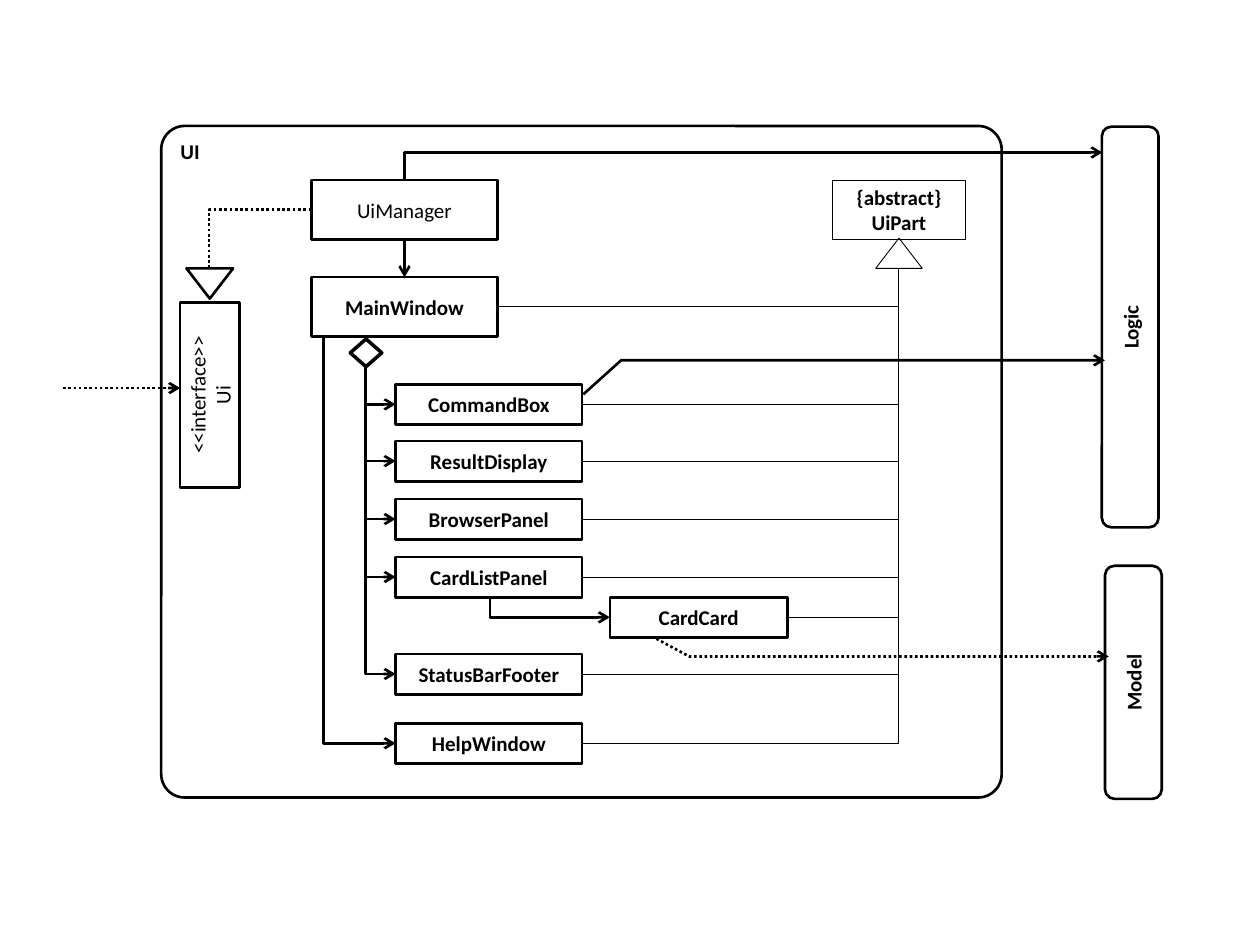
from lxml.etree import SubElement
from pptx import Presentation
from pptx.dml.color import RGBColor
from pptx.enum.dml import MSO_LINE
from pptx.enum.shapes import MSO_CONNECTOR as LINK, MSO_SHAPE as SHAPE
from pptx.enum.text import MSO_ANCHOR, PP_ALIGN
from pptx.oxml.ns import qn
from pptx.util import Inches, Pt

THEME = dict(font="Calibri", size=12, ink=RGBColor(0, 0, 0),
             thin=0.5, normal=1.5, heavy=2)

ROW_H, BOX_W, PANEL_X, TALL_H = 0.32, 1.48, 3.14, 0.47
TRUNK_X, TRUNK_Y = 2.9, 2.91
PARENT_X, PARENT_Y = 7.13, 2.13
MAIN_X, MAIN_Y, MANAGER_Y = 2.47, 2.2, 1.43

PANELS = [("CommandBox", 3.05), ("ResultDisplay", 3.5), ("BrowserPanel", 3.96),
          ("CardListPanel", 4.42), ("StatusBarFooter", 5.19), ("HelpWindow", 5.74)]
CARD = (4.84, 4.74, 1.41, ROW_H)

BOXES = [
    ("MainWindow", (MAIN_X, MAIN_Y, BOX_W, TALL_H), {}),
    ("UiManager", (MAIN_X, MANAGER_Y, BOX_W, TALL_H), dict(bold=False)),
    ("{abstract}\vUiPart", (6.61, MANAGER_Y, 1.05, TALL_H), dict(width="thin")),
    ("CardCard", CARD, {}),
    ("<<interface>>\nUi", (0.93, 2.9, 1.47, TALL_H), dict(bold=False, turn=270)),
    ("Logic", (7.38, 2.37, 3.18, 0.45), dict(kind=SHAPE.ROUNDED_RECTANGLE, turn=270)),
    ("Model", (8.07, 5.19, 1.85, 0.45), dict(kind=SHAPE.ROUNDED_RECTANGLE, turn=270)),
    ("", (2.78, 2.69, 0.25, 0.22), dict(kind=SHAPE.FLOWCHART_DECISION, width="heavy")),
    ("", (6.95, 1.89, 0.37, 0.24), dict(kind=SHAPE.ISOSCELES_TRIANGLE, width="thin")),
    ("", (1.48, 2.13, 0.37, 0.24), dict(kind=SHAPE.ISOSCELES_TRIANGLE, turn=180)),
]
BOXES += [(name, (PANEL_X, y, BOX_W, ROW_H), {}) for name, y in PANELS]

prs = Presentation()
prs.slide_width, prs.slide_height = Inches(10), Inches(7.5)
shapes = prs.slides.add_slide(prs.slide_layouts[6]).shapes


def stroke(s, width="normal", arrow=None, dotted=False):
    s.line.color.rgb = THEME["ink"]
    s.line.width = Pt(THEME[width])
    if dotted:
        s.line.dash_style = MSO_LINE.ROUND_DOT
    if arrow:
        SubElement(s.line._get_or_add_ln(), qn("a:" + arrow), type="arrow")


def box(text, at, kind=SHAPE.RECTANGLE, width="normal", bold=True, turn=0,
        align=PP_ALIGN.CENTER, anchor=MSO_ANCHOR.MIDDLE):
    s = shapes.add_shape(kind, *map(Inches, at))
    s.shadow.inherit = False
    s.fill.background()
    s.rotation = turn
    stroke(s, width)
    if text:
        tf = s.text_frame
        tf.text = text
        tf.vertical_anchor = anchor
        for p in tf.paragraphs:
            p.alignment = align
            for r in p.runs:
                r.font.name, r.font.size = THEME["font"], Pt(THEME["size"])
                r.font.bold, r.font.color.rgb = bold, THEME["ink"]
    return s


def link(start, end, kind=LINK.STRAIGHT, **style):
    c = shapes.add_connector(kind, *map(Inches, start + end))
    SubElement(c._element.spPr, qn("a:effectLst"))
    stroke(c, **style)
    return c


def corner(level, upright, **style):
    c = link(level, upright, LINK.ELBOW, **style)
    c._element.spPr.find(qn("a:prstGeom")).set("prst", "bentConnector2")


def bent_path(points, **style):
    builder = shapes.build_freeform(*map(Inches, points[0]))
    builder.add_line_segments([tuple(map(Inches, p)) for p in points[1:]], close=False)
    s = builder.convert_to_shape()
    s.shadow.inherit = False
    s.fill.background()
    stroke(s, arrow="tailEnd", **style)


frame = box("UI", (1.28, 1, 6.67, 5.33), SHAPE.ROUNDED_RECTANGLE,
            align=PP_ALIGN.LEFT, anchor=MSO_ANCHOR.TOP)
frame.adjustments[0] = 0.035
for text, at, style in BOXES:
    box(text, at, **style)

parent, trunk = (PARENT_X, PARENT_Y), (TRUNK_X, TRUNK_Y)
for name, y in PANELS:
    mid = y + ROW_H / 2
    source = (2.57, MAIN_Y + TALL_H) if name == "HelpWindow" else trunk
    corner((PANEL_X, mid), source, arrow="headEnd")
    corner((PANEL_X + BOX_W, mid), parent, width="thin")

card_mid = CARD[1] + ROW_H / 2
manager_mid = MAIN_X + BOX_W / 2
corner((MAIN_X + BOX_W, MAIN_Y + TALL_H / 2), parent, width="thin")
corner((CARD[0] + CARD[2], card_mid), parent, width="thin")
corner((CARD[0], card_mid), (3.89, CARD[1]), arrow="headEnd")
corner((8.75, 1.21), (manager_mid, MANAGER_Y), arrow="headEnd")
corner((MAIN_X, MANAGER_Y + TALL_H / 2), (1.66, 2.13), dotted=True)
link((manager_mid, MANAGER_Y + TALL_H), (manager_mid, MAIN_Y), arrow="tailEnd")
link((0.5, 3.08), (1.43, 3.08), arrow="tailEnd", dotted=True)
bent_path([(4.63, 3.13), (4.93, 2.86), (8.77, 2.86)])
bent_path([(5.21, 5.07), (5.47, 5.21), (8.8, 5.21)], dotted=True)

prs.save("out.pptx")
